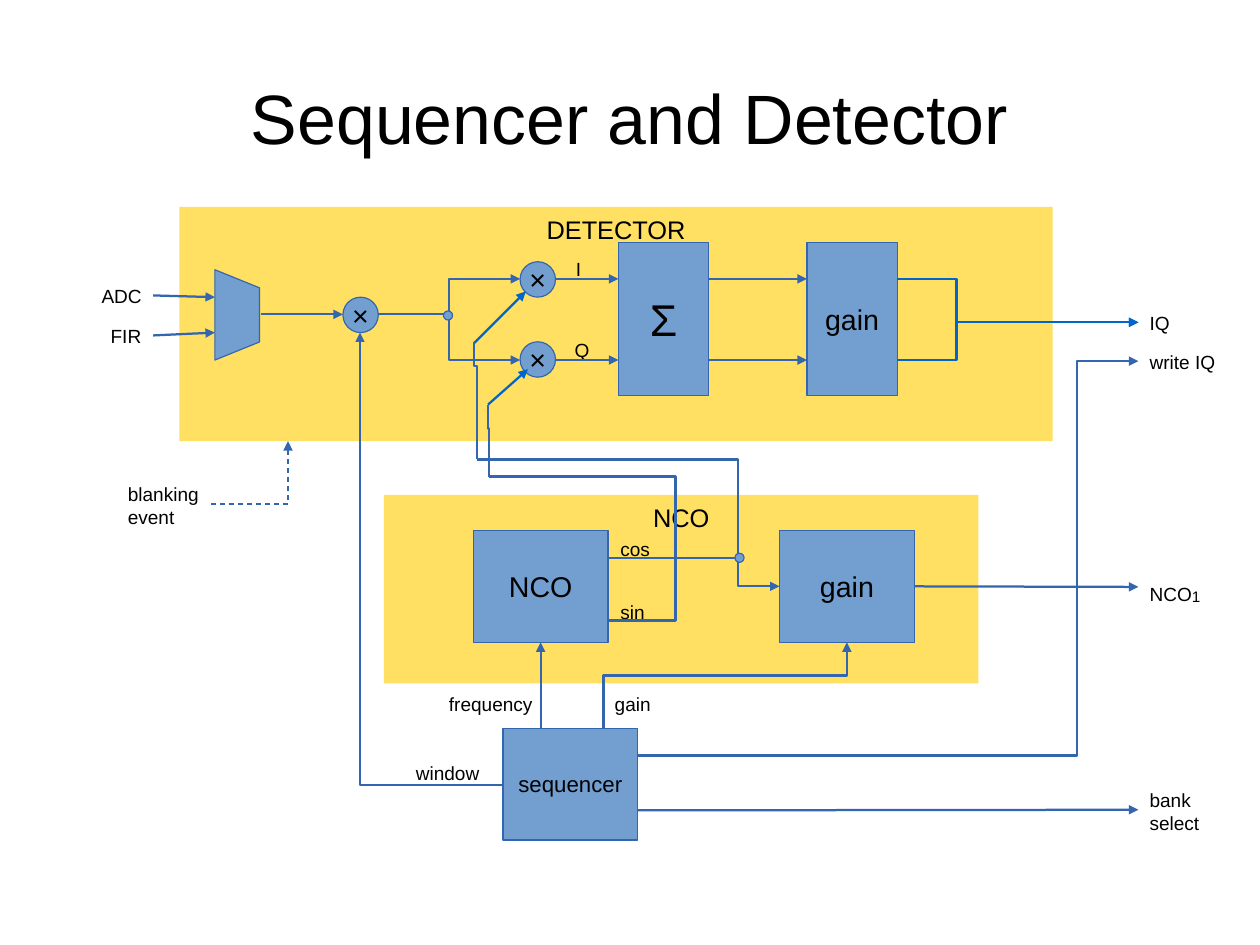
from pptx import Presentation
from pptx.dml.color import RGBColor
from pptx.enum.shapes import MSO_CONNECTOR, MSO_SHAPE
from pptx.enum.text import MSO_ANCHOR, MSO_AUTO_SIZE, PP_ALIGN
from pptx.oxml.ns import qn
from pptx.oxml.xmlchemy import OxmlElement
from pptx.util import Cm, Inches, Pt

RECT, OVAL, MUX = MSO_SHAPE.RECTANGLE, MSO_SHAPE.OVAL, MSO_SHAPE.FLOWCHART_MANUAL_OPERATION
STRAIGHT, ELBOW = MSO_CONNECTOR.STRAIGHT, MSO_CONNECTOR.ELBOW
TOP, MIDDLE, CENTER = MSO_ANCHOR.TOP, MSO_ANCHOR.MIDDLE, PP_ALIGN.CENTER
FIT_SHAPE = MSO_AUTO_SIZE.SHAPE_TO_FIT_TEXT
LEFT_SIDE, BOTTOM_SIDE, RIGHT_SIDE = 1, 2, 3
FONT = "Arial"
COLORS = {"panel": "FFD320", "block": "729FCF", "wire": "3465AF", "signal": "0066CC", "text": "000000"}

TITLE = "Sequencer and Detector"
PANELS = [
    ("NCO", 3.36, 4.33, 5.2, 1.65),
    ("DETECTOR", 1.57, 1.81, 7.64, 2.05),
]
BLOCKS = {
    "sum": ("Σ", 28, 5.41, 2.12, 0.79, 1.34),
    "iq gain": ("gain", 18, 7.06, 2.12, 0.79, 1.34),
    "nco": ("NCO", 18, 4.14, 4.64, 1.18, 0.98),
    "nco gain": ("gain", 18, 6.82, 4.64, 1.18, 0.98),
    "sequencer": ("sequencer", 14, 4.4, 6.37, 1.18, 0.98),
}
MIXERS = [(3, 2.6), (4.55, 2.29), (4.55, 2.99)]
MIXER_SIZE = 0.31
JUNCTIONS = [(3.88, 2.72), (6.43, 4.84)]
JUNCTION_SIZE = 0.08
LABELS = [
    ("ADC", 0.79, 2.44, 0.55, 0.29),
    ("FIR", 0.87, 2.79, 0.47, 0.29),
    ("I", 4.94, 2.2, 0.24, 0.29),
    ("Q", 4.93, 2.91, 0.33, 0.29),
    ("IQ", 9.96, 2.68, 0.37, 0.29),
    ("write IQ", 9.96, 3.02, 0.77, 0.29),
    ("NCO", 9.96, 4.98, 0.64, 0.31),
    ("bank\nselect", 9.96, 6.85, 0.64, 0.47),
    ("blanking\nevent", 1.02, 4.17, 0.82, 0.47),
    ("cos", 5.33, 4.65, 0.46, 0.29),
    ("sin", 5.33, 5.2, 0.41, 0.29),
    ("window", 3.54, 6.61, 0.75, 0.29),
    ("frequency", 3.83, 6.01, 0.93, 0.29),
    ("gain", 5.28, 6.01, 0.52, 0.29),
]
NCO_CHANNEL = "1"

STRAIGHT_WIRES = [
    ((1.34, 2.58), (1.88, 2.6), "wire", ("ADC", RIGHT_SIDE), None),
    ((1.34, 2.93), (1.88, 2.91), "wire", ("FIR", RIGHT_SIDE), None),
    ((2.28, 2.75), (3, 2.75), "wire", None, None),
    ((4.86, 2.44), (5.41, 2.44), "wire", None, None),
    ((4.86, 3.15), (5.41, 3.15), "wire", None, None),
    ((6.2, 2.44), (7.06, 2.44), "wire", None, None),
    ((6.2, 3.15), (7.06, 3.15), "wire", None, None),
    ((4.15, 3), (4.6, 2.55), "signal", None, None),
    ((4.27, 3.54), (4.62, 3.23), "signal", None, None),
    ((8, 5.13), (9.96, 5.13), "wire", ("nco gain", RIGHT_SIDE), ("NCO", LEFT_SIDE)),
    ((5.58, 7.09), (9.96, 7.09), "wire", None, ("bank\nselect", LEFT_SIDE)),
    ((4.73, 6.37), (4.73, 5.62), "wire", None, ("nco", BOTTOM_SIDE)),
]
SIDEWAYS_WIRES = [
    ((3.31, 2.75), (4.55, 2.44), 3.93, "wire", True),
    ((3.31, 2.75), (4.55, 3.15), 3.93, "wire", True),
    ((7.85, 2.44), (9.96, 2.82), 8.37, "signal", True),
    ((7.85, 3.15), (9.96, 2.82), 8.37, "signal", True),
    ((5.33, 4.88), (6.82, 5.13), 6.46, "wire", True),
    ((5.33, 4.88), (4.17, 4.02), 6.46, "wire", False),
    ((5.33, 5.43), (4.28, 4.17), 5.91, "wire", False),
    ((5.58, 6.61), (9.96, 3.16), 9.42, "wire", True),
]
UPRIGHT_WIRES = [
    ((4.15, 2.99), (4.17, 4.02), 3.2, "wire", False),
    ((4.27, 3.54), (4.28, 4.17), 3.75, "wire", False),
    ((5.28, 6.37), (7.41, 5.62), 5.91, "wire", True),
]
WINDOW_WIRE = ((4.4, 6.87), (3.15, 2.91))
BLANKING_WIRE = ((1.85, 4.41), (2.52, 3.86))


def color(name):
    return RGBColor.from_string(COLORS[name])


def element(tag, **attributes):
    node = OxmlElement(tag)
    for name, value in attributes.items():
        node.set(name, value)
    return node


def write(shape, text, size, anchor, align=None, margins=(0.1, 0.05)):
    frame = shape.text_frame
    frame.word_wrap = False
    frame.vertical_anchor = anchor
    frame.margin_left = frame.margin_right = Inches(margins[0])
    frame.margin_top = frame.margin_bottom = Inches(margins[1])
    frame.text = text
    for para in frame.paragraphs:
        para.alignment = align
        para.font.name, para.font.size = FONT, Pt(size)
        para.font.color.rgb = color("text")
    return frame


def add_block(kind, left, top, width, height):
    block = page.shapes.add_shape(kind, *map(Inches, (left, top, width, height)))
    block.shadow.inherit = False
    block.fill.solid()
    block.fill.fore_color.rgb = color("block")
    block.line.color.rgb = color("wire")
    block.line.width = Pt(0)
    return block


def add_wire(kind, start, end, tint="wire", arrow=True, dashed=False):
    wire = page.shapes.add_connector(kind, *map(Inches, (*start, *end)))
    wire.line.color.rgb = color(tint)
    wire.line.width = Pt(1.42)
    properties = wire._element.spPr
    outline = properties.find(qn("a:ln"))
    if dashed:
        dash = element("a:custDash")
        dash.append(element("a:ds", d="200000", sp="200000"))
        outline.append(dash)
    if arrow:
        outline.append(element("a:tailEnd", type="triangle"))
    properties.append(element("a:effectLst"))
    return wire


def add_elbow(start, end, bend, tint, arrow, upright=False):
    axis = 1 if upright else 0
    share = (bend - start[axis]) / (end[axis] - start[axis])
    if upright:
        mid_x, mid_y = (start[0] + end[0]) / 2, (start[1] + end[1]) / 2
        half_x, half_y = (end[0] - start[0]) / 2, (end[1] - start[1]) / 2
        start, end = (mid_x - half_y, mid_y + half_x), (mid_x + half_y, mid_y - half_x)
    properties = add_wire(ELBOW, start, end, tint, arrow)._element.spPr
    if upright:
        properties.find(qn("a:xfrm")).set("rot", "5400000")
    guide = element("a:gd", name="adj1", fmla=f"val {round(share * 100000)}")
    properties.find(qn("a:prstGeom")).get_or_add_avLst().append(guide)


def add_corner(start, end, dashed=False):
    wire = add_wire(ELBOW, start, end, dashed=dashed)
    wire._element.spPr.find(qn("a:prstGeom")).set("prst", "bentConnector2")


deck = Presentation()
deck.slide_width, deck.slide_height = Cm(28), Cm(21)
page = deck.slides.add_slide(deck.slide_layouts[5])

title = page.shapes.title
title.left, title.top, title.width, title.height = map(Inches, (0.55, 0.33, 9.92, 1.38))
write(title, TITLE, 44, MIDDLE, CENTER, (0, 0)).word_wrap = True

for name, *place in PANELS:
    panel = add_block(RECT, *place)
    panel.fill.fore_color.rgb = color("panel")
    panel.line.fill.background()
    panel._element.spPr.find(qn("a:solidFill"))[0].append(element("a:alpha", val="70000"))
    write(panel, name, 16, TOP, CENTER, (0.11, 0.06))

add_block(MUX, 1.68, 2.56, 0.79, 0.39).rotation = 270
boxes = {}
for key, (text, size, *place) in BLOCKS.items():
    boxes[key] = add_block(RECT, *place)
    write(boxes[key], text, size, MIDDLE, CENTER)
for left, top in MIXERS:
    write(add_block(OVAL, left, top, MIXER_SIZE, MIXER_SIZE), "×", 18, MIDDLE, CENTER)

for text, *place in LABELS:
    label = page.shapes.add_textbox(*map(Inches, place))
    frame = write(label, text, 12, TOP)
    frame.auto_size = FIT_SHAPE
    frame.margin_right = 0
    boxes[text] = label
channel = boxes["NCO"].text_frame.paragraphs[0].add_run()
channel.text = NCO_CHANNEL
channel.font.size = Pt(16.6)
channel.font._element.set("baseline", "-4000")

for start, end, tint, source, target in STRAIGHT_WIRES:
    wire = add_wire(STRAIGHT, start, end, tint)
    if source:
        wire.begin_connect(boxes[source[0]], source[1])
    if target:
        wire.end_connect(boxes[target[0]], target[1])
for route in SIDEWAYS_WIRES:
    add_elbow(*route)
for route in UPRIGHT_WIRES:
    add_elbow(*route, upright=True)
add_corner(*WINDOW_WIRE)
add_corner(*BLANKING_WIRE, dashed=True)

for left, top in JUNCTIONS:
    add_block(OVAL, left, top, JUNCTION_SIZE, JUNCTION_SIZE)

deck.save("out.pptx")
